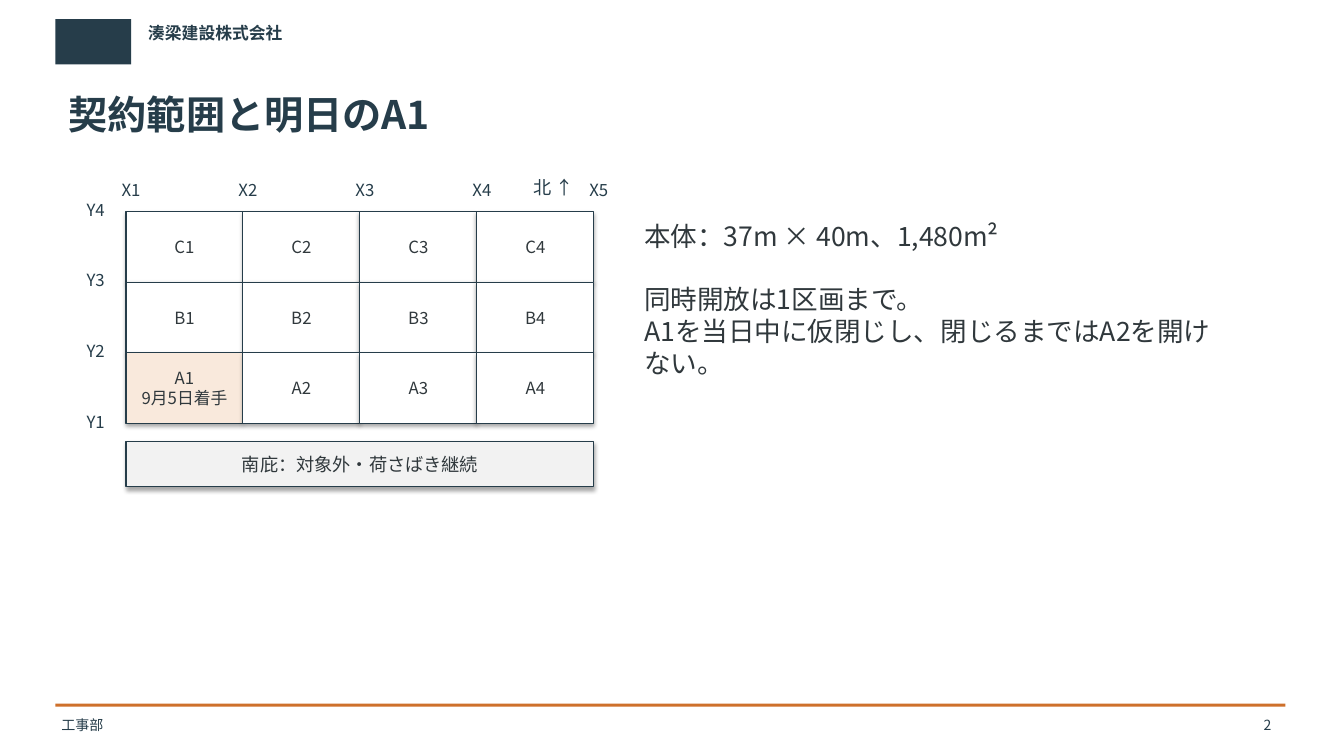
from dataclasses import dataclass

import lxml.etree
import pptx
import pptx.dml.color
import pptx.enum.shapes
import pptx.enum.text
import pptx.oxml.ns
import pptx.util
from pptx.util import Inches

FONT = "Noto Sans CJK JP"
COLORS = {
    "navy": "263D4A",
    "orange": "CE702B",
    "ink": "30383C",
    "white": "FFFFFF",
    "start": "F9E9DC",
    "excluded": "F2F2F2",
}
ALIGN = pptx.enum.text.PP_ALIGN
ANCHOR = pptx.enum.text.MSO_ANCHOR
GROW = pptx.enum.text.MSO_AUTO_SIZE.SHAPE_TO_FIT_TEXT

GRID_LEFT, GRID_TOP = 1.25, 2.1
BAY_WIDTH, BAY_HEIGHT = 1.16, 0.7
ROWS, COLUMNS = "CBA", 4
START_BAY = "A1"
HEADER_MARGINS = (0.03, 0.05)
LABEL_MARGINS = (0.04, 0.03)
BAY_MARGINS = (0.04, 0.05)


@dataclass
class Box:
    left: float
    top: float
    width: float
    height: float

    def lengths(self) -> tuple:
        return tuple(Inches(value) for value in (self.left, self.top, self.width, self.height))


@dataclass
class Label:
    text: str
    box: Box
    size: float = 12
    color: str = "navy"
    bold: bool = False
    align: ALIGN = ALIGN.LEFT
    margins: tuple = LABEL_MARGINS


@dataclass
class Panel:
    text: str
    box: Box
    fill: str
    size: float = 12


def rgb(name: str) -> pptx.dml.color.RGBColor:
    return pptx.dml.color.RGBColor.from_string(COLORS[name])


def set_attributes(target: object, values: dict) -> None:
    for name, value in values.items():
        setattr(target, name, value)


def format_frame(frame, margins: tuple, values: dict) -> None:
    side, end = (Inches(margin) for margin in margins)
    set_attributes(frame, {
        "word_wrap": True,
        "margin_left": side, "margin_right": side,
        "margin_top": end, "margin_bottom": end,
        **values,
    })


def write_paragraph(paragraph, text: str, size: float, color: str,
                    bold: bool = False, align: ALIGN = ALIGN.LEFT) -> None:
    paragraph.text = text
    paragraph.alignment = align
    for run in paragraph.runs:
        set_attributes(run.font, {"name": FONT, "size": pptx.util.Pt(size), "bold": bold})
        run.font.color.rgb = rgb(color)
        east_asian = lxml.etree.SubElement(run.font._element, pptx.oxml.ns.qn("a:ea"))
        east_asian.set("typeface", FONT)


def fill_label(shape, label: Label) -> None:
    frame = shape.text_frame
    format_frame(frame, label.margins, {"auto_size": GROW, "vertical_anchor": ANCHOR.TOP})
    write_paragraph(frame.paragraphs[0], label.text, label.size, label.color,
                    label.bold, label.align)


def add_label(slide, label: Label) -> None:
    fill_label(slide.shapes.add_textbox(*label.box.lengths()), label)


def add_rectangle(slide, box: Box, fill: str):
    shape = slide.shapes.add_shape(pptx.enum.shapes.MSO_SHAPE.RECTANGLE, *box.lengths())
    shape.fill.solid()
    shape.fill.fore_color.rgb = rgb(fill)
    return shape


def add_bar(slide, box: Box, fill: str) -> None:
    shape = add_rectangle(slide, box, fill)
    shape.line.fill.background()
    shape.shadow.inherit = False


def add_panel(slide, panel: Panel) -> None:
    """Add an outlined panel that keeps the soft shadow of the theme."""
    shape = add_rectangle(slide, panel.box, panel.fill)
    shape.line.color.rgb = rgb("navy")
    shape.line.width = pptx.util.Pt(0.75)
    format_frame(shape.text_frame, BAY_MARGINS, {"vertical_anchor": ANCHOR.MIDDLE})
    write_paragraph(shape.text_frame.paragraphs[0], panel.text, panel.size, "ink",
                    align=ALIGN.CENTER)


def add_header_and_footer(slide) -> None:
    add_bar(slide, Box(0.55, 0.19, 0.75, 0.45), "navy")
    add_bar(slide, Box(0.55, 6.98, 12.2, 0.03), "orange")
    for label in (
        Label("湊梁建設株式会社", Box(1.44, 0.18, 4, 0.5), bold=True, margins=HEADER_MARGINS),
        Label("工事部", Box(0.58, 7.06, 9, 0.3), size=10, margins=HEADER_MARGINS),
        Label("2", Box(12.2, 7.08, 0.45, 0.25), size=10, align=ALIGN.RIGHT),
    ):
        add_label(slide, label)


def add_title(slide) -> None:
    label = Label("契約範囲と明日のA1", Box(0.65, 0.85, 12, 0.8), size=28, bold=True,
                  margins=HEADER_MARGINS)
    title = slide.shapes.title
    names = ("left", "top", "width", "height")
    set_attributes(title, dict(zip(names, label.box.lengths())))
    fill_label(title, label)


def add_bay_plan(slide) -> None:
    for row, letter in enumerate(ROWS):
        for column in range(COLUMNS):
            name = f"{letter}{column + 1}"
            starts = name == START_BAY
            box = Box(GRID_LEFT + column * BAY_WIDTH, GRID_TOP + row * BAY_HEIGHT,
                      BAY_WIDTH, BAY_HEIGHT)
            add_panel(slide, Panel(f"{name}\n9月5日着手" if starts else name, box,
                                   "start" if starts else "white"))
    for index in range(COLUMNS + 1):
        box = Box(GRID_LEFT - 0.2 + index * BAY_WIDTH, GRID_TOP - 0.35, 0.5, 0.3)
        add_label(slide, Label(f"X{index + 1}", box, align=ALIGN.CENTER))
    for index in range(len(ROWS) + 1):
        box = Box(0.7, GRID_TOP - 0.15 + (len(ROWS) - index) * BAY_HEIGHT, 0.5, 0.3)
        add_label(slide, Label(f"Y{index + 1}", box, align=ALIGN.CENTER))
    canopy = Box(GRID_LEFT, 4.38, COLUMNS * BAY_WIDTH, 0.45)
    add_panel(slide, Panel("南庇：対象外・荷さばき継続", canopy, "excluded", size=13))
    add_label(slide, Label("北 ↑", Box(5.25, 1.72, 1.1, 0.3), size=13))


def add_scope_text(slide) -> None:
    frame = slide.shapes.add_textbox(*Box(6.35, 2.15, 5.9, 3.8).lengths()).text_frame
    format_frame(frame, LABEL_MARGINS, {"auto_size": GROW})
    write_paragraph(frame.paragraphs[0], "本体：37m × 40m、1,480m²", 19, "ink")
    rule = frame.add_paragraph()
    write_paragraph(rule, "同時開放は1区画まで。", 19, "ink")
    rule.space_before = pptx.util.Pt(22.5)
    write_paragraph(frame.add_paragraph(),
                    "A1を当日中に仮閉じし、閉じるまではA2を開けない。", 19, "ink")


def main() -> None:
    presentation = pptx.Presentation()
    presentation.slide_width = Inches(13.33)
    presentation.slide_height = Inches(7.5)
    slide = presentation.slides.add_slide(presentation.slide_layouts.get_by_name("Title Only"))
    add_header_and_footer(slide)
    add_title(slide)
    add_bay_plan(slide)
    add_scope_text(slide)
    presentation.save("out.pptx")


if __name__ == "__main__":
    main()
